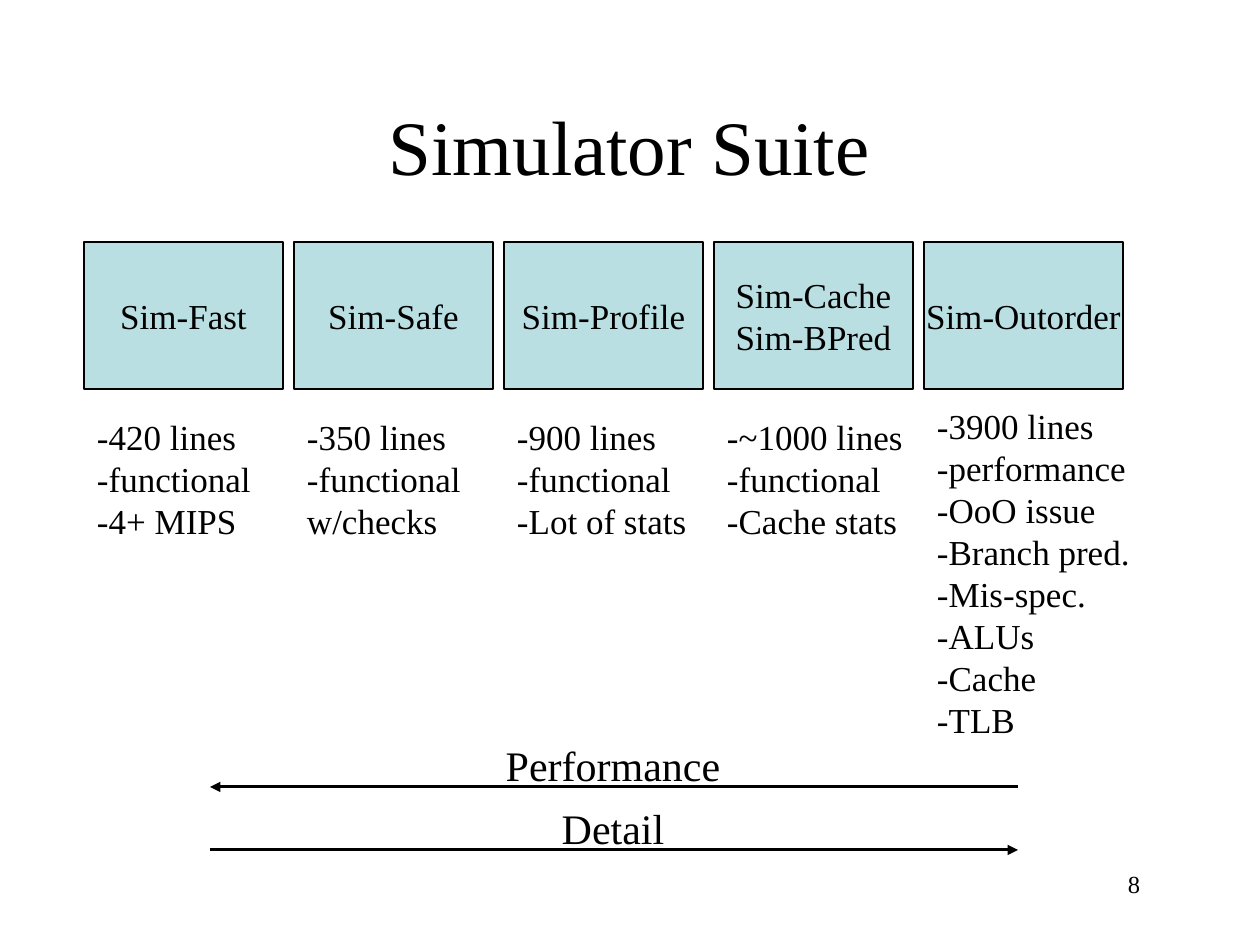
from pptx import Presentation, util as u
from pptx.dml.color import RGBColor
from pptx.enum import shapes, text
from lxml import etree

PX = 914400 // 126
A = "{http://schemas.openxmlformats.org/drawingml/2006/main}"
COLORS = {"ink": "000000", "box": "BADFE2"}
INK = RGBColor.from_string(COLORS["ink"])
LEFT, CENTER = text.PP_ALIGN.LEFT, text.PP_ALIGN.CENTER

prs = Presentation()
prs.slide_width, prs.slide_height = 1260 * PX, 945 * PX
s = prs.slides.add_slide(prs.slide_layouts[6])


def write(sp, lines, size, align=LEFT, inset=0, spacing=None):
    tf = sp.text_frame
    tf.word_wrap = True
    tf.margin_left = inset * PX
    tf.margin_right = tf.margin_top = tf.margin_bottom = 0
    tf.text = "\n".join(lines)
    for p in tf.paragraphs:
        p.alignment = align
        p.line_spacing = spacing
        p.font.name = "Times New Roman"
        p.font.size = u.Pt(size)
        p.font.color.rgb = INK


def add_text(x, y, w, h, *args, **kwargs):
    sp = s.shapes.add_textbox(x * PX, y * PX, w * PX, h * PX)
    write(sp, *args, **kwargs)


add_text(186, 98, 887, 92, ["Simulator Suite"], 44, CENTER)

simulators = [
    (["Sim-Fast"], 415, 158, ["-420 lines", "-functional", "-4+ MIPS"]),
    (["Sim-Safe"], 415, 158, ["-350 lines", "-functional", "w/checks"]),
    (["Sim-Profile"], 415, 173, ["-900 lines", "-functional", "-Lot of stats"]),
    (["Sim-Cache", "Sim-BPred"], 415, 179,
     ["-~1000 lines", "-functional", "-Cache stats"]),
    (["Sim-Outorder"], 404, 197,
     ["-3900 lines", "-performance", "-OoO issue", "-Branch pred.",
      "-Mis-spec.", "-ALUs", "-Cache", "-TLB"]),
]
for i, (names, top, width, features) in enumerate(simulators):
    x = 84 + 210 * i
    sp = s.shapes.add_shape(shapes.MSO_SHAPE.RECTANGLE,
                            x * PX, 242 * PX, 199 * PX, 147 * PX)
    sp.shadow.inherit = False
    sp.fill.solid()
    sp.fill.fore_color.rgb = RGBColor.from_string(COLORS["box"])
    sp.line.color.rgb = INK
    sp.line.width = u.Pt(0.75)
    sp.text_frame.vertical_anchor = text.MSO_ANCHOR.MIDDLE
    write(sp, names, 20, CENTER)
    add_text(x + 11, top, width, 42 * len(features), features, 20, inset=2)

for y, start, end in [(787, 1018, 210), (850, 210, 1018)]:
    arrow = s.shapes.add_connector(shapes.MSO_CONNECTOR.STRAIGHT,
                                   start * PX, y * PX, end * PX, y * PX)
    arrow.line.color.rgb = INK
    arrow.line.width = u.Pt(1.75)
    etree.SubElement(arrow.line._get_or_add_ln(), A + "tailEnd", type="triangle")
    etree.SubElement(arrow._element.spPr, A + "effectLst")

add_text(504, 727, 218, 127, ["Performance", "Detail"], 24, CENTER, spacing=1.25)
add_text(1125, 869, 32, 28, ["8"], 14, inset=3)

prs.save("out.pptx")
